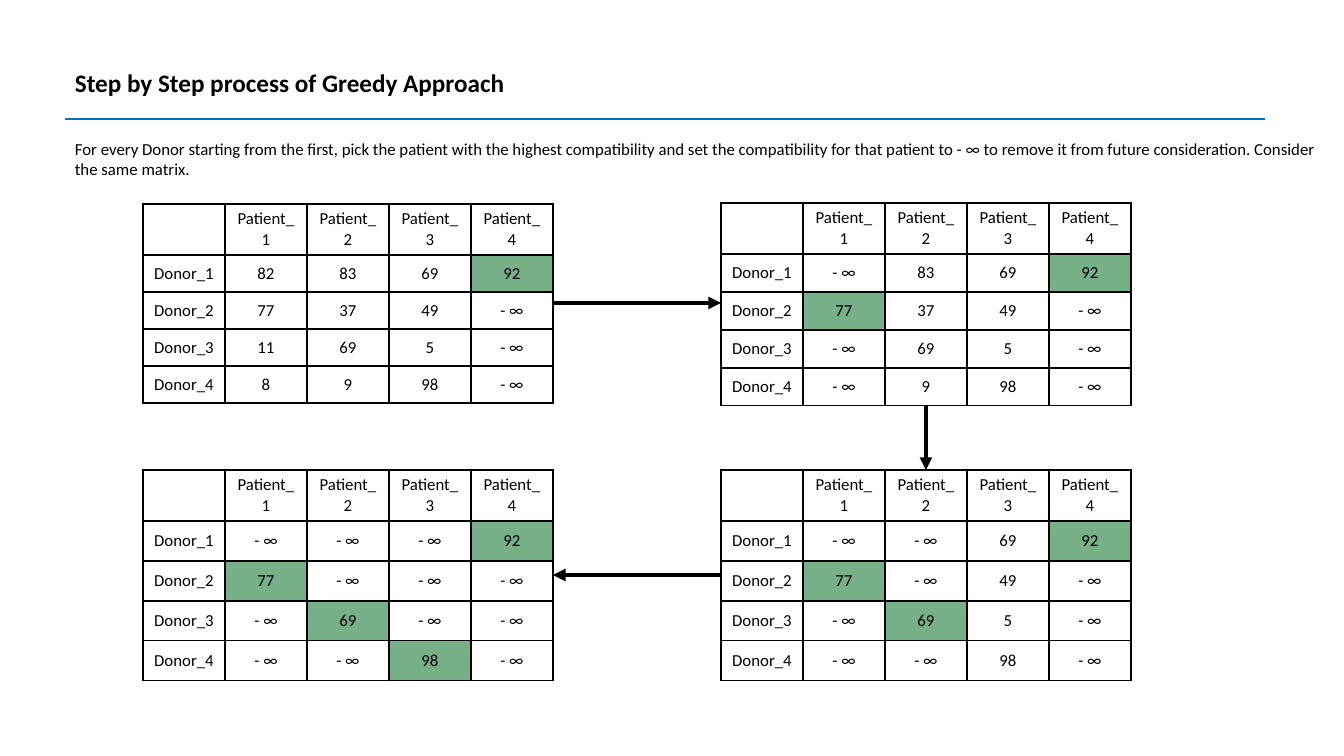
import lxml.etree
import pptx
import pptx.dml.color
import pptx.enum.shapes
import pptx.enum.text
import pptx.oxml.ns
import pptx.util

PX = 914400 / 100.8
COLORS = {"text": "000000", "rule": "0070C0", "cell": "FFFFFF", "picked": "77AF88"}
FONT = "Calibri"
REMOVED = "- ∞"
COMPATIBILITY = [[82, 83, 69, 92], [77, 37, 49, 98], [11, 69, 5, 98], [8, 9, 98, 98]]
COMPATIBILITY = [
    [82, 83, 69, 92],
    [77, 37, 49, None],
    [11, 69, 5, None],
    [8, 9, 98, None],
]
COL_W, HEADER_H = 82, 51
# left, top, donor row height of each step's matrix, clockwise from top left
STEP_BOXES = [(143, 204, 37), (721, 203, 38), (721, 470, 40), (143, 470, 40)]


def emu(px):
    return pptx.util.Emu(round(px * PX))


def rgb(name):
    return pptx.dml.color.RGBColor.from_string(COLORS[name])


def style(p, size, bold=False):
    p.font.name = FONT
    p.font.size = pptx.util.Pt(size)
    p.font.bold = bold
    p.font.color.rgb = rgb("text")


def add_text(s, box, text, size, bold=False, anchor="TOP", spacing=1.0):
    tf = s.shapes.add_textbox(*map(emu, box)).text_frame
    tf.word_wrap = True
    tf.vertical_anchor = pptx.enum.text.MSO_ANCHOR[anchor]
    p = tf.paragraphs[0]
    p.text = text
    p.line_spacing = spacing
    style(p, size, bold)


def add_line(s, start, end, color, width, arrow=False):
    line = s.shapes.add_connector(
        pptx.enum.shapes.MSO_CONNECTOR.STRAIGHT, *map(emu, start + end))
    line.line.color.rgb = rgb(color)
    line.line.width = pptx.util.Pt(width)
    if arrow:
        ln = line.line._get_or_add_ln()
        lxml.etree.SubElement(ln, pptx.oxml.ns.qn("a:tailEnd"), type="triangle")
    lxml.etree.SubElement(line._element.spPr, pptx.oxml.ns.qn("a:effectLst"))


def add_borders(cell):
    qn = pptx.oxml.ns.qn
    tc_pr = cell._tc.get_or_add_tcPr()
    for side in ("lnL", "lnR", "lnT", "lnB"):
        ln = lxml.etree.SubElement(tc_pr, qn(f"a:{side}"), w=str(pptx.util.Pt(1)))
        fill = lxml.etree.SubElement(ln, qn("a:solidFill"))
        lxml.etree.SubElement(fill, qn("a:srgbClr"), val=COLORS["text"])


def greedy_picks():
    """Return the best remaining patient for each donor in turn."""
    picks = []
    for scores in COMPATIBILITY:
        free = [i for i in range(len(scores)) if i not in picks]
        picks.append(max(free, key=lambda i: scores[i]))
    return picks


def matrix_rows(picks):
    """Return the labelled matrix after the given picks."""
    rows = [[""] + [f"Patient_{i + 1}" for i in range(len(COMPATIBILITY[0]))]]
    for donor, scores in enumerate(COMPATIBILITY):
        values = [
            REMOVED if i in picks and picks.index(i) != donor else str(score)
            for i, score in enumerate(scores)
        ]
        rows.append([f"Donor_{donor + 1}"] + values)
    return rows


def add_matrix(s, box, picks):
    left, top, row_h = box
    rows = matrix_rows(picks)
    n_rows, n_cols = len(rows), len(rows[0])
    size = n_cols * COL_W, HEADER_H + (n_rows - 1) * row_h
    table = s.shapes.add_table(n_rows, n_cols, *map(emu, (left, top) + size)).table
    table.first_row = table.horz_banding = False
    for col in table.columns:
        col.width = emu(COL_W)
    for r, values in enumerate(rows):
        table.rows[r].height = emu(row_h if r else HEADER_H)
        for c, value in enumerate(values):
            cell = table.cell(r, c)
            add_borders(cell)
            picked = 0 < r <= len(picks) and c == picks[r - 1] + 1
            cell.fill.solid()
            cell.fill.fore_color.rgb = rgb("picked" if picked else "cell")
            cell.vertical_anchor = pptx.enum.text.MSO_ANCHOR.MIDDLE
            p = cell.text_frame.paragraphs[0]
            p.text = value
            p.alignment = pptx.enum.text.PP_ALIGN.CENTER
            style(p, 12)
    return left, top, *size


def add_header(s, left, top):
    add_text(s, (left, top, 1084, 49), "Step by Step process of Greedy Approach",
             18, bold=True, anchor="MIDDLE", spacing=0.9)
    add_line(s, (left, top + 59), (left + 1200, top + 59), "rule", 1.5)
    add_text(s, (left, top + 74, 1270, 57),
             "For every Donor starting from the first, pick the patient with the "
             "highest compatibility and set the compatibility for that patient to "
             "- ∞ to remove it from future consideration. Consider the same matrix.", 12)


def add_steps(s):
    picks = greedy_picks()
    first, second, third, last = [
        add_matrix(s, box, picks[:i + 1]) for i, box in enumerate(STEP_BOXES)]
    gap_left, gap_right = first[0] + first[2], second[0]
    upper_y = first[1] + first[3] // 2
    lower_y = last[1] + last[3] // 2
    center_x = second[0] + second[2] // 2
    for start, end in [
        ((gap_left, upper_y), (gap_right, upper_y)),
        ((center_x, second[1] + second[3]), (center_x, third[1])),
        ((gap_right, lower_y), (gap_left, lower_y)),
    ]:
        add_line(s, start, end, "text", 3, arrow=True)


def main():
    prs = pptx.Presentation()
    prs.slide_width, prs.slide_height = emu(1344), emu(756)
    s = prs.slides.add_slide(prs.slide_layouts[6])
    add_header(s, 65, 60)
    add_steps(s)
    prs.save("out.pptx")


if __name__ == "__main__":
    main()
